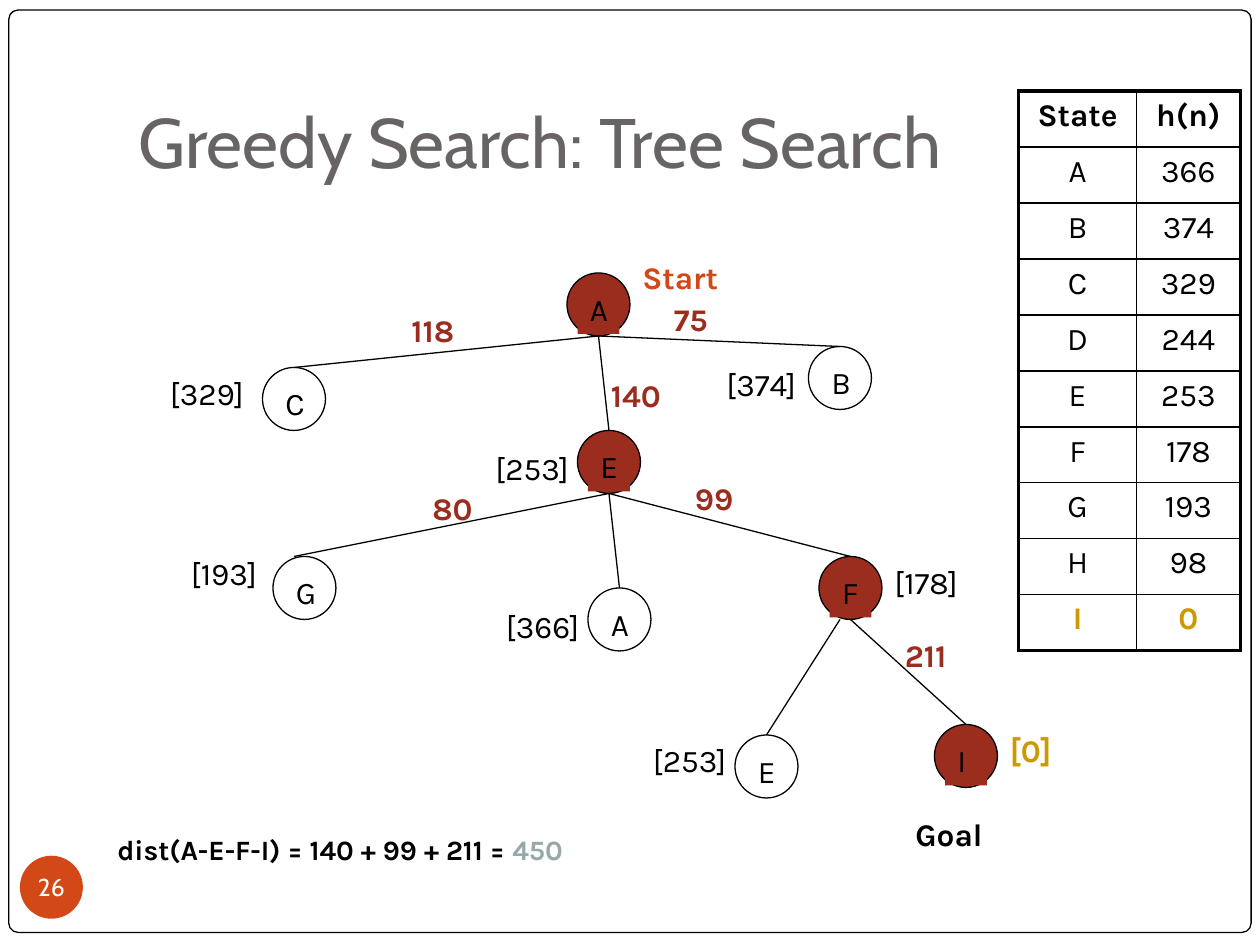
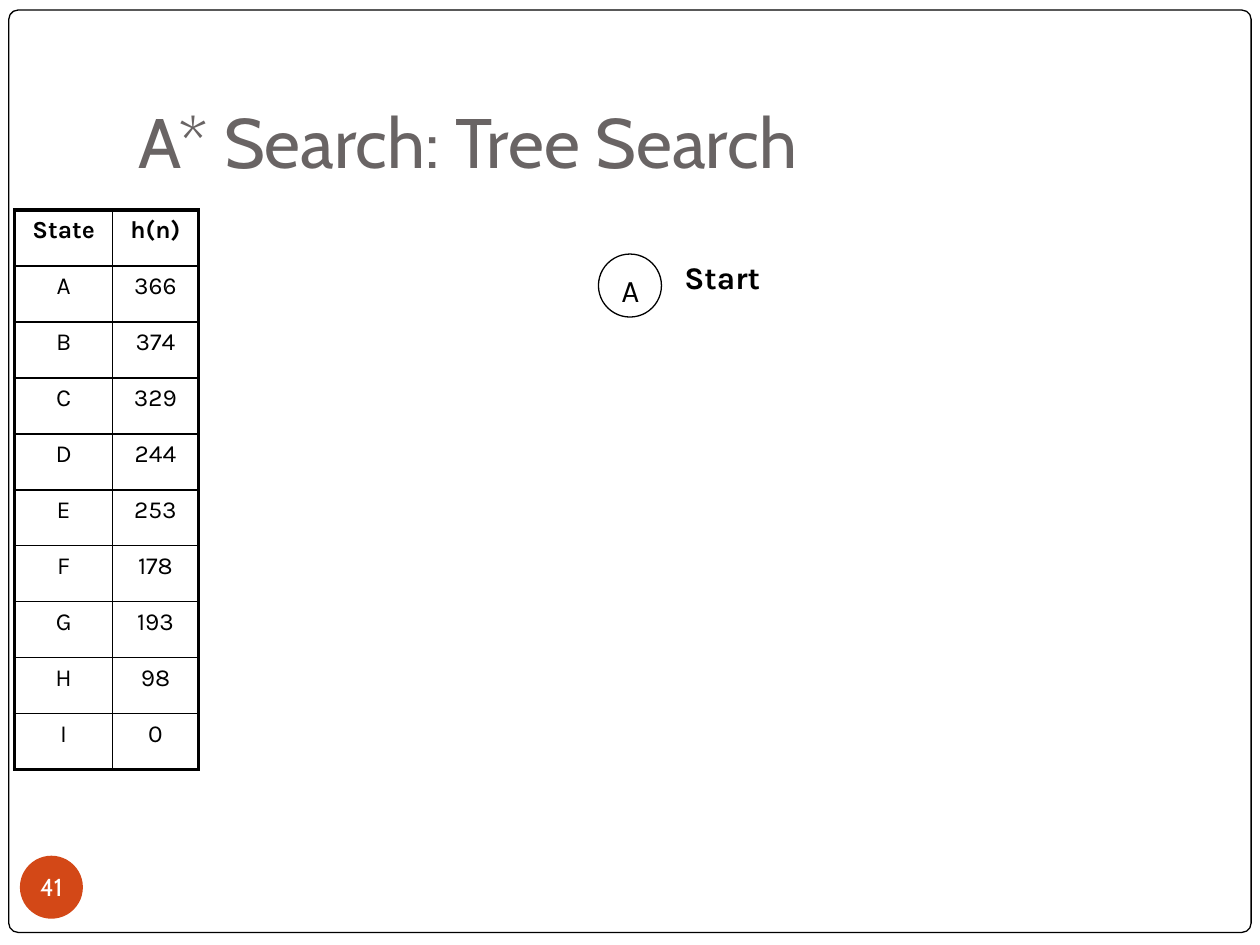
import pptx
import pptx.dml.color
import pptx.enum.shapes
import pptx.enum.text
import pptx.oxml
import pptx.oxml.ns
import pptx.util

ALIGN = pptx.enum.text.PP_ALIGN
ANCHOR = pptx.enum.text.MSO_ANCHOR
SHAPE = pptx.enum.shapes.MSO_SHAPE

COLORS = {
    "ink": "000000",
    "paper": "FFFFFF",
    "title": "696464",
    "badge": "D34817",
    "path": "9B2D1F",
    "goal": "CC9900",
    "result": "96A9A9",
}
TITLE_FONT, BODY_FONT = "Cabin", "Karla"
COLUMNS_PER_INCH = 12  # the slide is a grid of 120 columns by 90 rows
NODE = 6
LABEL_HEIGHT = 4.8
ROW_HEIGHT = 5.33

HEURISTIC = [
    ("State", "h(n)"), ("A", "366"), ("B", "374"), ("C", "329"), ("D", "244"),
    ("E", "253"), ("F", "178"), ("G", "193"), ("H", "98"), ("I", "0"),
]
# key: letter, column, row, expanded on the greedy route
TREE_NODES = {
    "start": ("A", 54, 26, True),
    "b": ("B", 77, 33, False),
    "c": ("C", 25, 35, False),
    "e": ("E", 55, 41, True),
    "f": ("F", 78, 53, True),
    "goal": ("I", 89, 69, True),
    "g": ("G", 26, 53, False),
    "a again": ("A", 56, 56, False),
    "e again": ("E", 70, 70, False),
}
# parent, child, column shift at the parent, column shift at the child
TREE_EDGES = [
    ("start", "b", 0, 0), ("start", "e", 0, 0), ("start", "c", 0, 0),
    ("e", "f", 0, 0), ("e", "g", 0, -1), ("e", "a again", 0, 0),
    ("f", "goal", 0, 0), ("f", "e again", -1, 0),
]
STEP_COSTS = [
    ("118", 38, 29), ("75", 63, 28), ("140", 57, 35.2),
    ("80", 40, 46), ("99", 65, 45), ("211", 85, 60),
]
ESTIMATES = [
    ("[374]", 68, 34.2), ("[329]", 15, 35), ("[253]", 46, 42.2), ("[193]", 17, 52.2),
    ("[366]", 47, 57.2), ("[178]", 84, 53), ("[253]", 61, 70),
]


def grid(*lengths):
    return [pptx.util.Inches(length / COLUMNS_PER_INCH) for length in lengths]


def rgb(name):
    return pptx.dml.color.RGBColor.from_string(COLORS[name])


def format_run(run, size, color="ink", bold=False, font=BODY_FONT):
    run.font.name = font
    run.font.size = pptx.util.Pt(size)
    run.font.bold = bold
    run.font.color.rgb = rgb(color)


def set_fill(shape, color):
    if color:
        shape.fill.solid()
        shape.fill.fore_color.rgb = rgb(color)
    else:
        shape.fill.background()


def add_outline(shapes, preset, box, fill, line="ink"):
    """Add a preset shape with a flat fill and a thin line."""
    shape = shapes.add_shape(preset, *grid(*box))
    shape.shadow.inherit = False
    set_fill(shape, fill)
    if line:
        shape.line.color.rgb = rgb(line)
        shape.line.width = pptx.util.Pt(0.75)
    else:
        shape.line.fill.background()
    return shape


def add_label(shapes, text, column, row, width=11, size=18, color="ink", bold=False):
    label = shapes.add_textbox(*grid(column, row, width, LABEL_HEIGHT))
    label.text_frame.word_wrap = True
    label.text_frame.text = text
    format_run(label.text_frame.paragraphs[0].runs[0], size, color, bold)
    return label


def add_node(slide, letter, column, row, expanded=False):
    """Add a circle and its letter as one group."""
    group = slide.shapes.add_group_shape()
    fill = "path" if expanded else None
    add_outline(group.shapes, SHAPE.OVAL, (column, row, NODE, NODE), fill)
    set_fill(add_label(group.shapes, letter, column + 1, row + 1, width=4), fill)


def add_edge(slide, parent, child, parent_shift, child_shift):
    """Draw a line from the bottom of one node to the top of another."""
    parent_column, parent_row = TREE_NODES[parent][1:3]
    child_column, child_row = TREE_NODES[child][1:3]
    edge = slide.shapes.add_connector(
        pptx.enum.shapes.MSO_CONNECTOR.STRAIGHT,
        *grid(parent_column + NODE / 2 + parent_shift, parent_row + NODE,
              child_column + NODE / 2 + child_shift, child_row))
    edge.line.color.rgb = rgb("ink")
    edge.line.width = pptx.util.Pt(0.75)
    edge.element.spPr.append(pptx.oxml.parse_xml(
        f'<a:effectLst {pptx.oxml.ns.nsdecls("a")}/>'))


def add_cell_borders(cell, outer_sides):
    properties = cell._tc.get_or_add_tcPr()
    for side in "LRTB":
        width = pptx.util.Pt(2.25 if side in outer_sides else 1)
        properties.append(pptx.oxml.parse_xml(
            f'<a:ln{side} {pptx.oxml.ns.nsdecls("a")} w="{width}"><a:solidFill>'
            f'<a:srgbClr val="{COLORS["ink"]}"/></a:solidFill></a:ln{side}>'))


def add_heuristic_table(slide, column, row, widths, size, mark_goal=False):
    row_count = len(HEURISTIC)
    table = slide.shapes.add_table(
        row_count, 2, *grid(column, row, sum(widths), ROW_HEIGHT * row_count)).table
    table.first_row = table.horz_banding = False
    for table_column, width in zip(table.columns, grid(*widths)):
        table_column.width = width
    for row_index, values in enumerate(HEURISTIC):
        table.rows[row_index].height = grid(ROW_HEIGHT)[0]
        is_header, is_last = row_index == 0, row_index == row_count - 1
        is_goal = mark_goal and is_last
        for column_index, value in enumerate(values):
            cell = table.cell(row_index, column_index)
            cell.text = value
            paragraph = cell.text_frame.paragraphs[0]
            paragraph.alignment = ALIGN.CENTER
            format_run(paragraph.runs[0], size, "goal" if is_goal else "ink",
                       is_header or is_goal)
            add_cell_borders(cell, "LR"[column_index] + "T" * is_header + "B" * is_last)
            cell.fill.background()


def add_slide(presentation, title, number):
    """Start a slide with the shared frame, title and number badge."""
    slide = presentation.slides.add_slide(presentation.slide_layouts[5])
    heading = slide.shapes.title
    heading.left, heading.top, heading.width, heading.height = grid(12, 3.6, 102, 15)
    frame = heading.text_frame
    frame.text = title
    frame.auto_size = pptx.enum.text.MSO_AUTO_SIZE.NONE
    frame.vertical_anchor = ANCHOR.BOTTOM
    frame.margin_bottom = pptx.util.Inches(0.1)
    frame.paragraphs[0].alignment = ALIGN.LEFT
    format_run(frame.paragraphs[0].runs[0], 40, "title", font=TITLE_FONT)

    border = add_outline(slide.shapes, SHAPE.ROUNDED_RECTANGLE,
                         (0.84, 0.96, 118.32, 87.84), "paper")
    border.adjustments[0] = 0.01
    heading.element.addprevious(border.element)

    badge = add_outline(slide.shapes, SHAPE.OVAL, (1.9, 81.5, NODE, NODE), "badge", None)
    frame = badge.text_frame
    frame.margin_left = frame.margin_right = frame.margin_top = frame.margin_bottom = 0
    frame.vertical_anchor = ANCHOR.MIDDLE
    frame.text = str(number)
    frame.paragraphs[0].alignment = ALIGN.CENTER
    format_run(frame.paragraphs[0].runs[0], 14, "paper", font=TITLE_FONT)
    return slide


def add_greedy_slide(presentation):
    slide = add_slide(presentation, "Greedy Search: Tree Search", 26)
    for node in TREE_NODES.values():
        add_node(slide, *node)
    for edge in TREE_EDGES:
        add_edge(slide, *edge)
    for cost in STEP_COSTS:
        add_label(slide.shapes, *cost, color="path", bold=True)
    for estimate in ESTIMATES:
        add_label(slide.shapes, *estimate)
    add_label(slide.shapes, "[0]", 95, 69, color="goal", bold=True)
    add_label(slide.shapes, "Start", 60, 24, 16, color="badge", bold=True)
    add_label(slide.shapes, "Goal", 86, 77, 16, bold=True)
    distance = add_label(slide.shapes, "dist(A-E-F-I) = 140 + 99 + 211 = ",
                         10, 78.7, 72, size=16, bold=True)
    total = distance.text_frame.paragraphs[0].add_run()
    total.text = "450"
    format_run(total, 16, "result", True)
    add_heuristic_table(slide, 97, 8.67, (11.25, 9.87), 18, mark_goal=True)


def add_a_star_slide(presentation):
    slide = add_slide(presentation, "A* Search: Tree Search", 41)
    add_node(slide, "A", 57, 24.2)
    add_label(slide.shapes, "Start", 64, 24, 16, bold=True)
    add_heuristic_table(slide, 1.4, 20, (9.33, 8.17), 14)


def main():
    presentation = pptx.Presentation()
    presentation.slide_width, presentation.slide_height = grid(120, 90)
    add_greedy_slide(presentation)
    add_a_star_slide(presentation)
    presentation.save("out.pptx")


if __name__ == "__main__":
    main()
